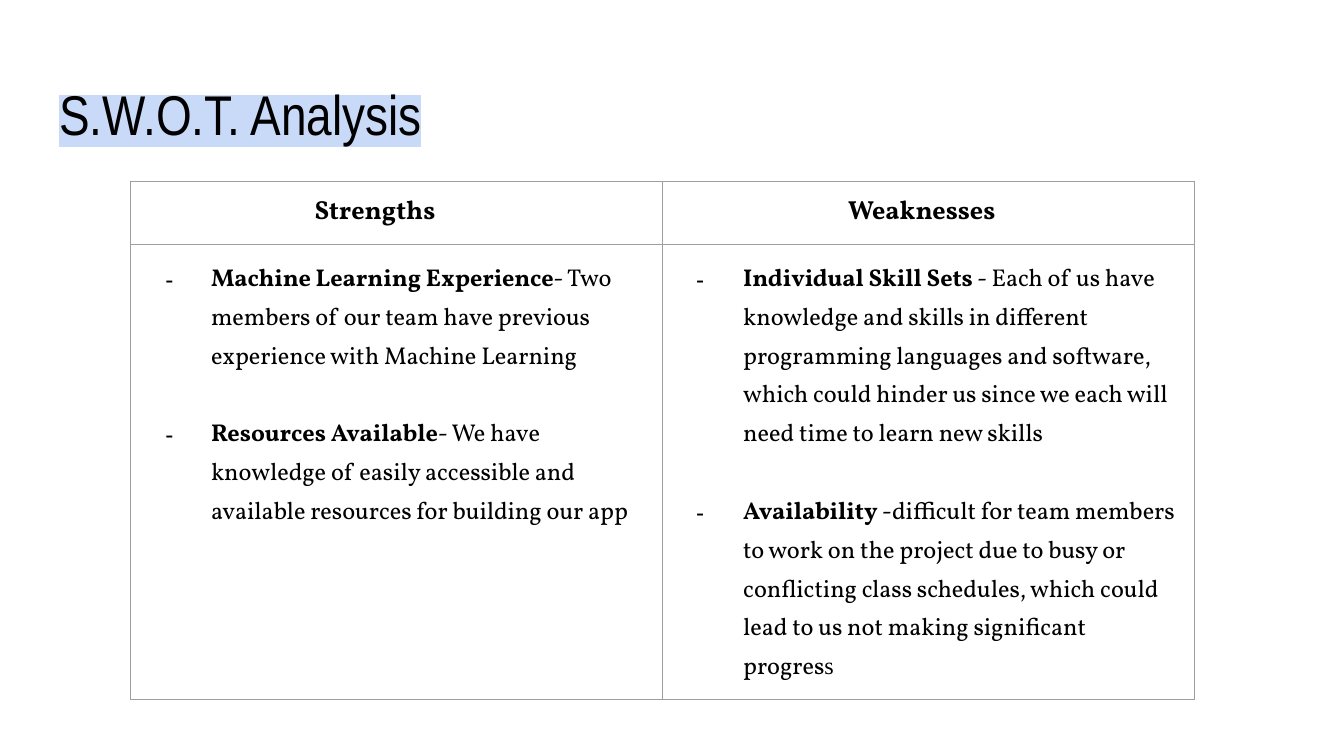
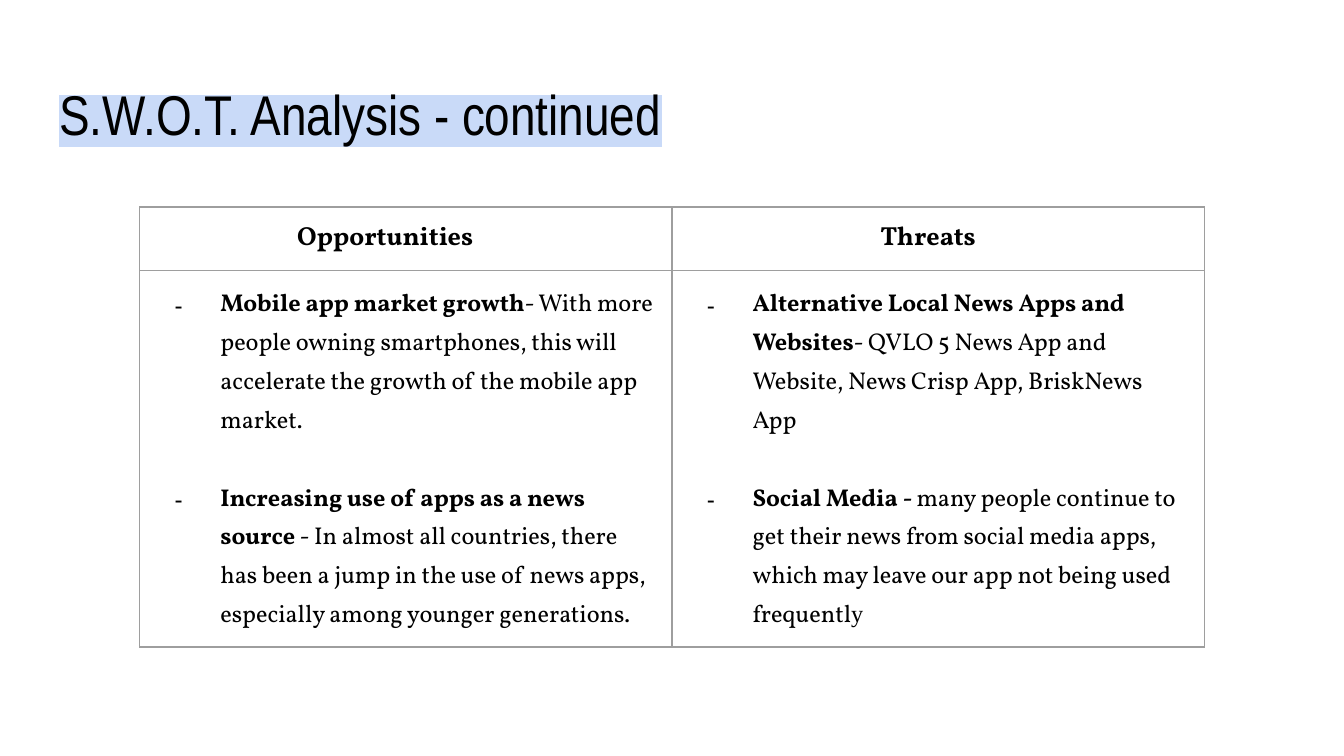
import pptx
import pptx.dml.color
import pptx.enum.text
import pptx.oxml.ns
import pptx.util
from lxml import etree

Inches, Pt = pptx.util.Inches, pptx.util.Pt

BLACK, HIGHLIGHT, BORDER = "000000", "C9DAF8", "9E9E9E"
BODY_FONT, TAIL_FONT = "Vollkorn", "Times New Roman"
TITLE_FONT, BULLET_FONT = "Arial Narrow", "Arial"
COLUMN_WIDTH, HEADER_HEIGHT, MARGIN = 3.96, 0.47, 0.1
TEXT_INDENT, ITEM_GAP = 0.5, 20.8

# Each column: heading, heading indent, bullet hang, items.
# Each item: bold label, explanation, ending in the second font.
SLIDES = [
    {
        "title": "S.W.O.T. Analysis",
        "at": (0.97, 1.35),
        "body_height": 3.38,
        "columns": [
            ("Strengths", 1.27, 0.34, [
                ("Machine Learning Experience",
                 "- Two members of our team have previous experience with Machine Learning", ""),
                ("Resources Available",
                 "- We have knowledge of easily accessible and available resources "
                 "for building our app", ""),
            ]),
            ("Weaknesses", 1.28, 0.35, [
                ("Individual Skill Sets",
                 " - Each of us have knowledge and skills in different programming languages "
                 "and software, which could hinder us since we each will need time to learn "
                 "new skills", ""),
                ("Availability",
                 " -difficult for team members to work on the project due to busy or "
                 "conflicting class schedules, which could lead to us not making "
                 "significant progres", "s"),
            ]),
        ],
    },
    {
        "title": "S.W.O.T. Analysis - continued",
        "at": (1.04, 1.54),
        "body_height": 2.8,
        "columns": [
            ("Opportunities", 1.07, 0.34, [
                ("Mobile app market growth",
                 "- With more people owning smartphones, this will accelerate the growth "
                 "of the mobile app market.", ""),
                ("Increasing use of apps as a news source",
                 " - In almost all countries, there has been a jump in the use of news apps, "
                 "especially among younger generations.", ""),
            ]),
            ("Threats", 1.45, 0.34, [
                ("Alternative Local News Apps and Websites",
                 "- QVLO 5 News App and Website, News Crisp App, BriskNews App", ""),
                ("Social Media - ",
                 "many people continue to get their news from social media apps, which may "
                 "leave our app not being used frequentl", "y"),
            ]),
        ],
    },
]


def add_element(parent, tag, **attributes):
    return etree.SubElement(parent, pptx.oxml.ns.qn(tag), attributes)


def add_color(parent, color):
    add_element(parent, "a:srgbClr", val=color)


def add_span(para, text, color=BLACK, **formats):
    span = para.add_run()
    span.text = text
    for name, value in formats.items():
        setattr(span.font, name, value)
    span.font.color.rgb = pptx.dml.color.RGBColor.from_string(color)
    return span


def set_indent(para, left, first=0):
    properties = para._p.get_or_add_pPr()
    properties.set("marL", str(Inches(left)))
    properties.set("indent", str(Inches(first)))
    return properties


def add_title(page, text):
    box = page.shapes.title
    box.left, box.top, box.width, box.height = map(Inches, (0.34, 0.49, 9.32, 0.63))
    frame = box.text_frame
    formats = {
        "margin_left": Inches(MARGIN), "margin_right": Inches(MARGIN),
        "margin_top": Inches(MARGIN), "margin_bottom": Inches(MARGIN),
        "vertical_anchor": pptx.enum.text.MSO_ANCHOR.TOP,
        "auto_size": pptx.enum.text.MSO_AUTO_SIZE.NONE, "word_wrap": True,
    }
    for name, value in formats.items():
        setattr(frame, name, value)
    para = frame.paragraphs[0]
    para.alignment = pptx.enum.text.PP_ALIGN.LEFT
    span = add_span(para, text, name=TITLE_FONT, size=Pt(30))
    highlight = etree.Element(pptx.oxml.ns.qn("a:highlight"))
    add_color(highlight, HIGHLIGHT)
    span.font._element.find(pptx.oxml.ns.qn("a:solidFill")).addnext(highlight)


def format_cell(cell):
    for side in ("left", "right", "top", "bottom"):
        setattr(cell, f"margin_{side}", Inches(MARGIN))
    properties = cell._tc.get_or_add_tcPr()
    for side in ("L", "R", "T", "B"):
        line = add_element(properties, f"a:ln{side}", w=str(Pt(0.75)))
        add_color(add_element(line, "a:solidFill"), BORDER)
    cell.fill.background()


def add_item(para, item, hang):
    properties = set_indent(para, TEXT_INDENT, -hang)
    add_color(add_element(properties, "a:buClr"), BLACK)
    add_element(properties, "a:buFont", typeface=BULLET_FONT)
    add_element(properties, "a:buChar", char="-")
    para.line_spacing = 1.15
    styles = [(BODY_FONT, True), (BODY_FONT, False), (TAIL_FONT, False)]
    for text, (font, bold) in zip(item, styles):
        if text:
            add_span(para, text, name=font, size=Pt(13), bold=bold)


def add_swot_table(page, at, body_height, columns):
    heights = (HEADER_HEIGHT, body_height)
    size = (COLUMN_WIDTH * len(columns), sum(heights))
    table = page.shapes.add_table(2, len(columns), *map(Inches, at + size)).table
    table.first_row = table.horz_banding = False
    for row, height in zip(table.rows, heights):
        row.height = Inches(height)
    for index, (heading, indent, hang, items) in enumerate(columns):
        table.columns[index].width = Inches(COLUMN_WIDTH)
        header, body = table.cell(0, index), table.cell(1, index)
        format_cell(header)
        format_cell(body)
        para = header.text_frame.paragraphs[0]
        set_indent(para, indent)
        add_span(para, heading, name=BODY_FONT, size=Pt(14), bold=True)
        for number, item in enumerate(items):
            para = body.text_frame.add_paragraph() if number else body.text_frame.paragraphs[0]
            add_item(para, item, hang)
            if number:
                para.space_before = Pt(ITEM_GAP)


def main():
    deck = pptx.Presentation()
    deck.slide_width = Inches(10)
    deck.slide_height = deck.slide_width * 9 // 16
    for content in SLIDES:
        page = deck.slides.add_slide(deck.slide_layouts[5])
        add_title(page, content["title"])
        add_swot_table(page, content["at"], content["body_height"], content["columns"])
    deck.save("out.pptx")


if __name__ == "__main__":
    main()
